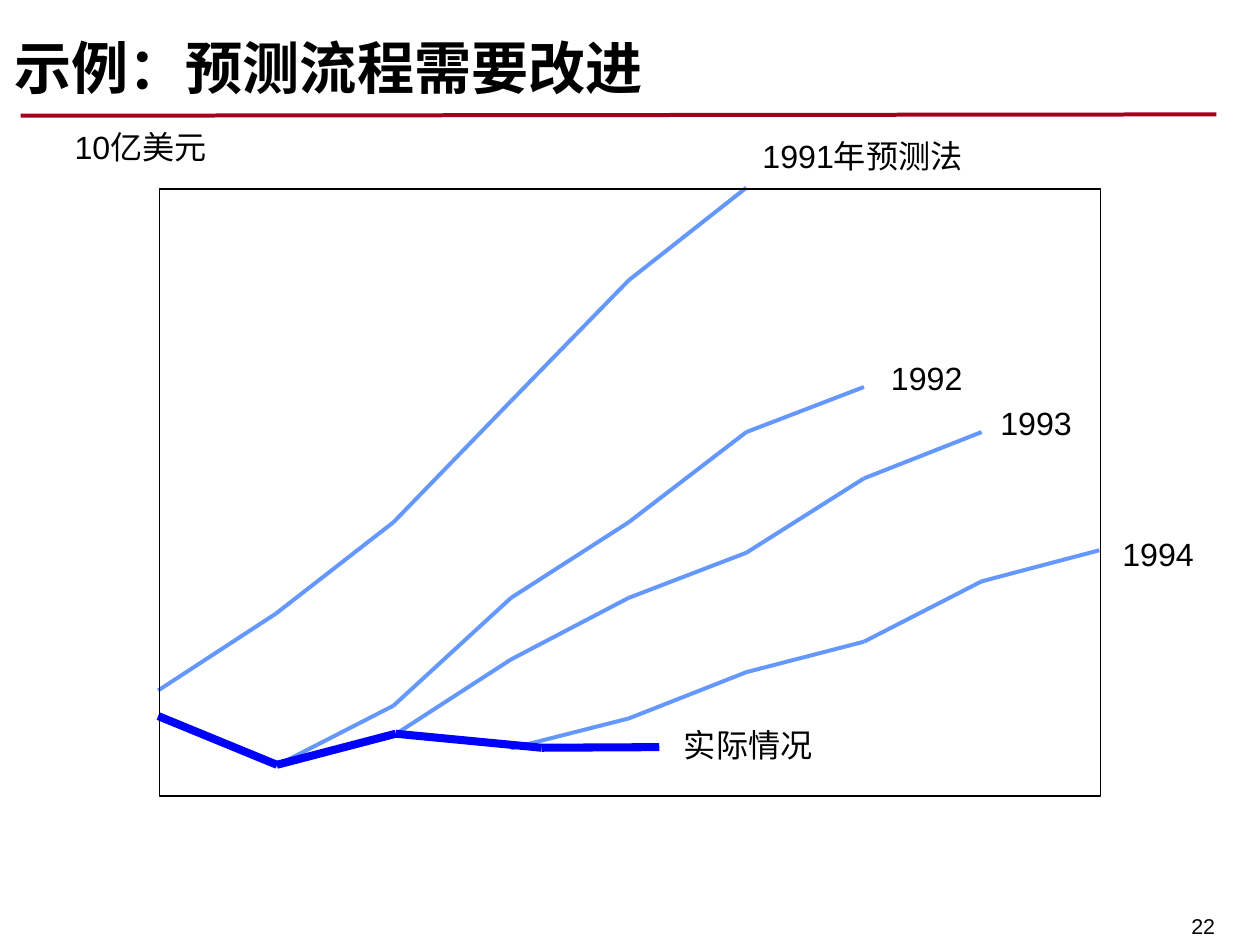
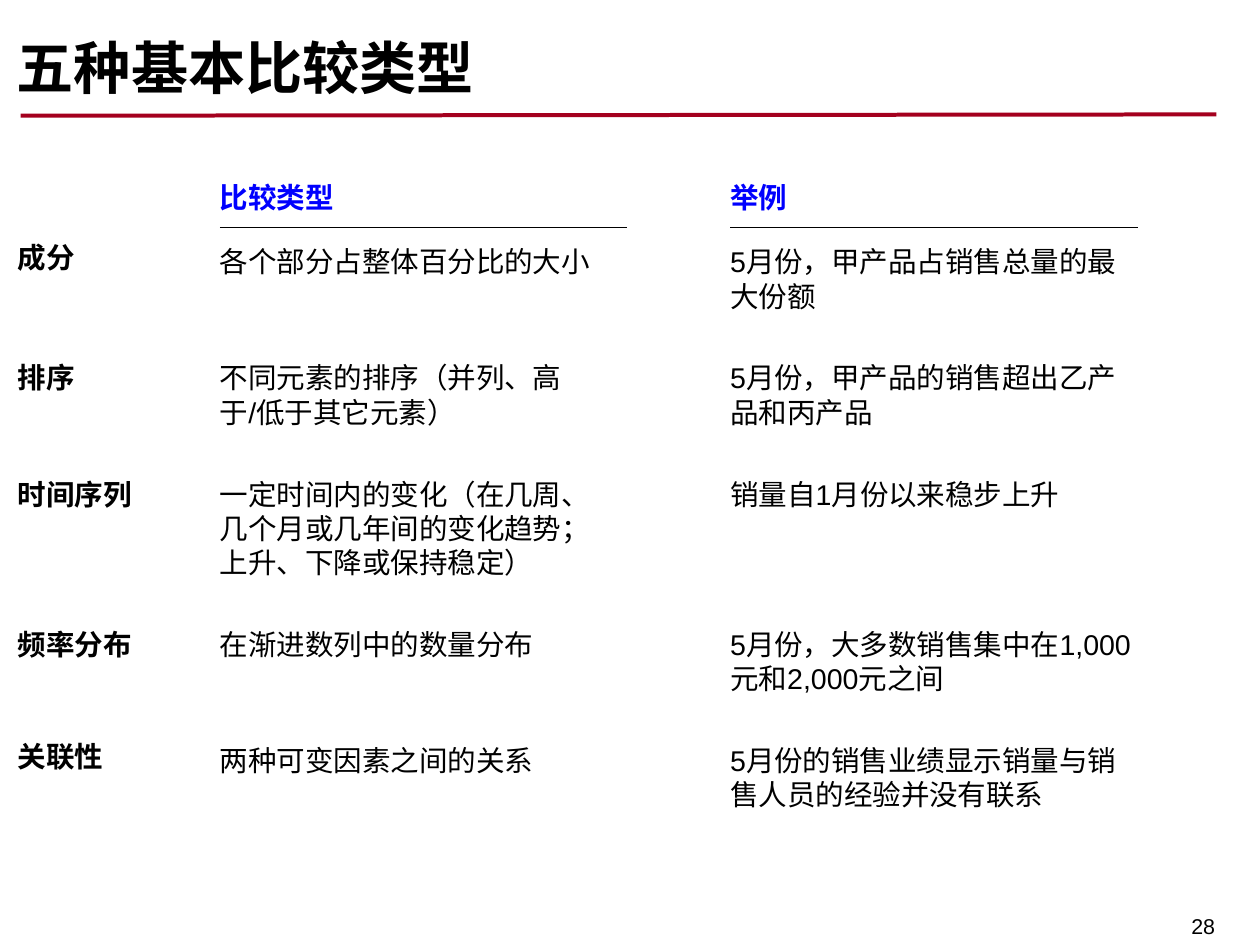
from dataclasses import dataclass
from itertools import pairwise

from pptx import Presentation
from pptx.dml.color import RGBColor
from pptx.enum.shapes import MSO_CONNECTOR, MSO_SHAPE
from pptx.enum.text import MSO_ANCHOR, MSO_AUTO_SIZE, PP_ALIGN
from pptx.oxml.ns import qn
from pptx.shapes.connector import Connector
from pptx.slide import Slide, SlideLayout
from pptx.text.text import TextFrame
from pptx.util import Inches, Pt
from lxml.etree import SubElement

# Shared style
BLACK = RGBColor(0x00, 0x00, 0x00)
RED = RGBColor(0xA4, 0x00, 0x1E)
LIGHT_BLUE = RGBColor(0x65, 0x98, 0xFF)
BLUE = RGBColor(0x00, 0x00, 0xFE)
FONT = "Arial"
PAGE_WIDTH, PAGE_HEIGHT = 9.8, 7.35

# Plot grid of the forecast slide
PLOT_LEFT, PLOT_TOP, PLOT_WIDTH, PLOT_HEIGHT = 1.23, 1.46, 7.32, 4.74
COLUMN = PLOT_WIDTH / 8
ROW = PLOT_HEIGHT / 10

# Text grid of the comparison slide
LABEL_LEFT, LABEL_WIDTH = 0.14, 1.04
TYPE_LEFT, TYPE_WIDTH = 1.71, 2.98
EXAMPLE_LEFT, EXAMPLE_WIDTH = 5.68, 3.17
HEADER_TOP, HEADER_WIDTH, RULE_TOP = 1.4, 2.7, 1.77
FIRST_ROW_TOP, ROW_GAP = 1.9, 0.37
BODY_SIZE = 16
LINE_HEIGHT = BODY_SIZE * 1.2 / 72


@dataclass(frozen=True)
class Box:
    left: float
    top: float
    width: float
    height: float


@dataclass(frozen=True)
class Style:
    size: float
    color: RGBColor = BLACK
    bold: bool = False
    align: PP_ALIGN = PP_ALIGN.LEFT
    anchor: MSO_ANCHOR = MSO_ANCHOR.TOP


@dataclass(frozen=True)
class Series:
    """Points count columns from the left and rows from the bottom."""
    points: list[tuple[float, float]]
    color: RGBColor = LIGHT_BLUE
    weight: float = 2.25


@dataclass(frozen=True)
class Comparison:
    label: str
    kind: str
    example: str
    lines: int
    label_shift: float = 0


TITLE = Style(32, bold=True)
CAPTION = Style(18)
BODY = Style(BODY_SIZE)
LABEL = Style(BODY_SIZE, bold=True)
HEADER = Style(BODY_SIZE, BLUE, bold=True)
NUMBER = Style(12, align=PP_ALIGN.RIGHT)


def steps(first_column: int, rows: list[float]) -> list[tuple[float, float]]:
    return list(enumerate(rows, first_column))


FORECASTS = [
    Series(steps(0, [1.75, 3.01, 4.51, 6.5, 8.48, 10])),
    Series(steps(3, [0.8, 1.29, 2.05, 2.55, 3.54, 4.05])),
    Series(steps(1, [0.51, 1.5, 3.27, 4.51, 5.99, 6.73])),
    Series(steps(2, [1.01, 2.26, 3.27, 4.01, 5.23, 5.99])),
]
ACTUAL = Series([(0, 1.33), (1.01, 0.53), (2.02, 1.04), (3.26, 0.81), (4.26, 0.82)],
                BLUE, 4.5)

CAPTIONS = [
    ("1991年预测法", Box(5.93, 1.06, 2.12, 0.3)),
    ("1992", Box(6.93, 2.79, 0.85, 0.3)),
    ("1993", Box(7.78, 3.14, 1.18, 0.3)),
    ("1994", Box(8.73, 4.16, 1.0, 0.3)),
    ("实际情况", Box(5.32, 5.64, 1.64, 0.3)),
]

COMPARISONS = [
    Comparison("成分", "各个部分占整体百分比的大小",
               "5月份，甲产品占销售总量的最大份额", 2, -0.03),
    Comparison("排序", "不同元素的排序（并列、高于/低于其它元素）",
               "5月份，甲产品的销售超出乙产品和丙产品", 2),
    Comparison("时间序列", "一定时间内的变化（在几周、几个月或几年间的变化趋势；上升、下降或保持稳定）",
               "销量自1月份以来稳步上升", 3),
    Comparison("频率分布", "在渐进数列中的数量分布",
               "5月份，大多数销售集中在1,000元和2,000元之间", 2),
    Comparison("关联性", "两种可变因素之间的关系",
               "5月份的销售业绩显示销量与销售人员的经验并没有联系", 2, -0.03),
]


def write(frame: TextFrame, text: str, style: Style, grow: bool = True) -> None:
    frame.word_wrap = True
    frame.auto_size = MSO_AUTO_SIZE.SHAPE_TO_FIT_TEXT if grow else MSO_AUTO_SIZE.NONE
    frame.vertical_anchor = style.anchor
    frame.margin_left = frame.margin_right = Inches(0 if grow else 0.1)
    frame.margin_top = frame.margin_bottom = Inches(0 if grow else 0.05)
    para = frame.paragraphs[0]
    para.alignment = style.align
    span = para.add_run()
    span.text = text
    span.font.name = FONT
    span.font.size = Pt(style.size)
    span.font.bold = style.bold
    span.font.color.rgb = style.color


def add_text(page: Slide, text: str, box: Box, style: Style, grow: bool = True) -> None:
    shape = page.shapes.add_textbox(Inches(box.left), Inches(box.top),
                                    Inches(box.width), Inches(box.height))
    write(shape.text_frame, text, style, grow)


def add_line(page: Slide, start: tuple[float, float], end: tuple[float, float],
             color: RGBColor, weight: float) -> Connector:
    line = page.shapes.add_connector(MSO_CONNECTOR.STRAIGHT,
                                     Inches(start[0]), Inches(start[1]),
                                     Inches(end[0]), Inches(end[1]))
    line.line.color.rgb = color
    line.line.width = Pt(weight)
    SubElement(line.element.spPr, qn("a:effectLst"))
    return line


def add_page(deck: Presentation, layout: SlideLayout, title: str,
             title_box: Box, number: int) -> Slide:
    page = deck.slides.add_slide(layout)
    heading = page.shapes.title
    heading.left, heading.top = Inches(title_box.left), Inches(title_box.top)
    heading.width, heading.height = Inches(title_box.width), Inches(title_box.height)
    write(heading.text_frame, title, TITLE)
    add_text(page, str(number), Box(7.51, 7.05, 2.04, 0.3), NUMBER, grow=False)
    return page


def add_title_rule(page: Slide, layout: SlideLayout) -> None:
    """Draw the red rule and move it to the layout, where all pages share it."""
    rule = add_line(page, (0.16, 0.9), (9.46, 0.89), RED, 2.25)
    layout.shapes.element.append(rule.element)


def plot(page: Slide, series: Series) -> None:
    places = [(PLOT_LEFT + column * COLUMN, PLOT_TOP + PLOT_HEIGHT - row * ROW)
              for column, row in series.points]
    for start, end in pairwise(places):
        add_line(page, start, end, series.color, series.weight)


def draw_forecasts(page: Slide) -> None:
    # Curves, with the actual result on top
    for series in [*FORECASTS, ACTUAL]:
        plot(page, series)

    # Frame around the plot
    frame = page.shapes.add_shape(MSO_SHAPE.RECTANGLE, Inches(PLOT_LEFT + 0.01),
                                  Inches(PLOT_TOP + 0.01), Inches(PLOT_WIDTH),
                                  Inches(PLOT_HEIGHT - 0.02))
    frame.shadow.inherit = False
    frame.fill.background()
    frame.line.color.rgb = BLACK
    frame.line.width = Pt(1)

    # Unit and curve captions
    add_text(page, "10亿美元", Box(0.58, 0.99, 4, 0.3),
             Style(18, anchor=MSO_ANCHOR.BOTTOM))
    for text, box in CAPTIONS:
        add_text(page, text, box, CAPTION)


def draw_comparisons(page: Slide) -> None:
    # Column headers with their rules
    for text, left in (("比较类型", TYPE_LEFT), ("举例", EXAMPLE_LEFT)):
        add_text(page, text, Box(left, HEADER_TOP, HEADER_WIDTH, LINE_HEIGHT), HEADER)
        add_line(page, (left, RULE_TOP), (left + EXAMPLE_WIDTH, RULE_TOP), BLACK, 1)

    # Rows, each as tall as its longest text
    top = FIRST_ROW_TOP
    for item in COMPARISONS:
        height = item.lines * LINE_HEIGHT
        add_text(page, item.label,
                 Box(LABEL_LEFT, top + item.label_shift, LABEL_WIDTH, LINE_HEIGHT), LABEL)
        add_text(page, item.kind, Box(TYPE_LEFT, top, TYPE_WIDTH, height), BODY)
        add_text(page, item.example, Box(EXAMPLE_LEFT, top, EXAMPLE_WIDTH, height), BODY)
        top += height + ROW_GAP


def main() -> None:
    deck = Presentation()
    deck.slide_width, deck.slide_height = Inches(PAGE_WIDTH), Inches(PAGE_HEIGHT)
    layout = deck.slide_layouts.get_by_name("Title Only")

    forecast_page = add_page(deck, layout, "示例：预测流程需要改进",
                             Box(0.11, 0.25, 9.51, 0.53), 22)
    add_title_rule(forecast_page, layout)
    draw_forecasts(forecast_page)

    comparison_page = add_page(deck, layout, "五种基本比较类型",
                               Box(0.13, 0.25, 9.21, 0.53), 28)
    draw_comparisons(comparison_page)

    deck.save("out.pptx")


if __name__ == "__main__":
    main()
